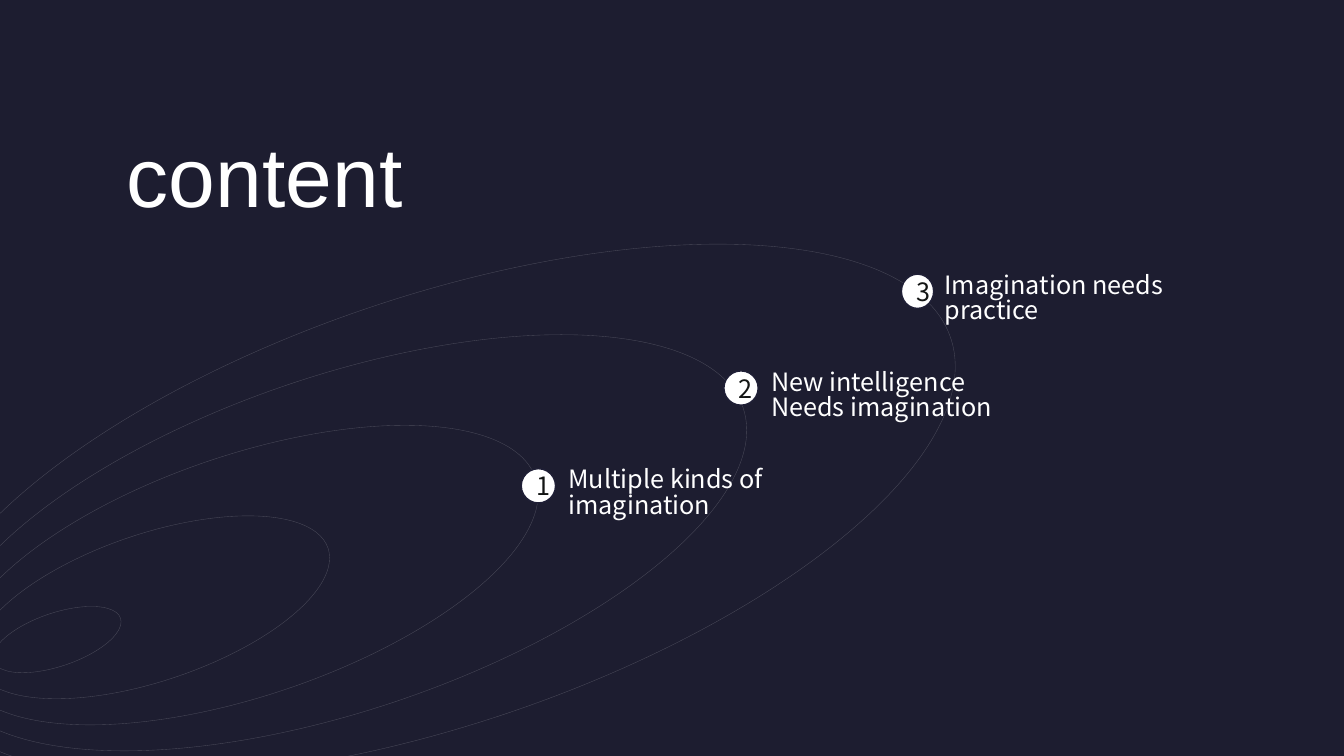
from dataclasses import dataclass

from lxml import etree
from pptx import Presentation
from pptx.dml.color import RGBColor
from pptx.enum.shapes import MSO_SHAPE
from pptx.enum.text import MSO_ANCHOR, MSO_AUTO_SIZE, PP_ALIGN
from pptx.oxml.ns import qn
from pptx.util import Inches, Pt

OVAL = MSO_SHAPE.OVAL
RECTANGLE = MSO_SHAPE.RECTANGLE
MIDDLE = MSO_ANCHOR.MIDDLE
GROW = MSO_AUTO_SIZE.SHAPE_TO_FIT_TEXT
CENTER = PP_ALIGN.CENTER
LEFT = PP_ALIGN.LEFT


@dataclass(frozen=True)
class Theme:
    ink: RGBColor = RGBColor.from_string("131514")
    navy: RGBColor = RGBColor.from_string("1F1F36")
    white: RGBColor = RGBColor.from_string("FFFFFF")
    title_font: str = "Arial"
    body_font: str = "Noto Sans CJK JP"
    title_size: int = 60
    body_size: int = 18


THEME = Theme()


def set_opacity(fill, percent):
    """Make a solid fill partly transparent."""
    color = fill._xPr.find(qn("a:solidFill"))[0]
    etree.SubElement(color, qn("a:alpha")).set("val", str(percent * 1000))


def write_lines(shape, lines, font, size, color, align, spacing=None):
    shape.text_frame.word_wrap = True
    for index, line in enumerate(lines):
        frame = shape.text_frame
        para = frame.add_paragraph() if index else frame.paragraphs[0]
        para.alignment = align
        if spacing:
            para.line_spacing = spacing
        span = para.add_run()
        span.text = line
        span.font.name = font
        span.font.size = Pt(size)
        span.font.color.rgb = color


deck = Presentation()
deck.slide_width = Inches(13.33)
deck.slide_height = Inches(7.5)
page = deck.slides.add_slide(deck.slide_layouts[6])
page.background.fill.solid()
page.background.fill.fore_color.rgb = THEME.ink

veil = page.shapes.add_shape(RECTANGLE, 0, 0, deck.slide_width, deck.slide_height)
veil.shadow.inherit = False
veil.fill.solid()
veil.fill.fore_color.rgb = THEME.navy
set_opacity(veil.fill, 84)
veil.line.fill.background()

# Orbits grow by equal steps towards the upper right.
for step in range(5):
    orbit = page.shapes.add_shape(
        OVAL,
        Inches(-0.1 - 0.23 * step), Inches(6.08 - 0.785 * step),
        Inches(1.33 + 2.35 * step), Inches(0.53 + 0.93 * step))
    orbit.rotation = 341.4
    orbit.shadow.inherit = False
    orbit.fill.background()
    orbit.line.width = Pt(0.25)
    orbit.line.color.rgb = THEME.white
    set_opacity(orbit.line.fill, 20)

# Number, badge left, top and width, label left and width, label lines
topics = [
    ("1", 5.17, 4.65, 0.34, 5.54, 2.86, ["Multiple kinds of imagination"]),
    ("2", 7.18, 3.68, 0.34, 7.55, 3.25, ["New intelligence", "Needs imagination"]),
    ("3", 8.94, 2.72, 0.32, 9.27, 2.46, ["Imagination needs practice"]),
]
for number, left, top, width, label_left, label_width, lines in topics:
    badge = page.shapes.add_shape(
        OVAL, Inches(left), Inches(top), Inches(width), Inches(0.34))
    badge.shadow.inherit = False
    badge.fill.solid()
    badge.fill.fore_color.rgb = THEME.white
    badge.line.color.rgb = THEME.navy
    badge.line.width = Pt(1)
    badge.text_frame.vertical_anchor = MIDDLE
    write_lines(badge, [number], THEME.body_font, THEME.body_size, THEME.ink, CENTER)

    label = page.shapes.add_textbox(
        Inches(label_left), Inches(top - 0.05), Inches(label_width), Inches(0.71))
    label.text_frame.auto_size = GROW
    write_lines(label, lines, THEME.body_font, THEME.body_size, THEME.white, LEFT, 0.84)

title = page.shapes.add_textbox(Inches(1.16), Inches(1.18), Inches(5.19), Inches(1.11))
title.text_frame.auto_size = GROW
write_lines(title, ["content"], THEME.title_font, THEME.title_size, THEME.white, LEFT)

deck.save("out.pptx")
